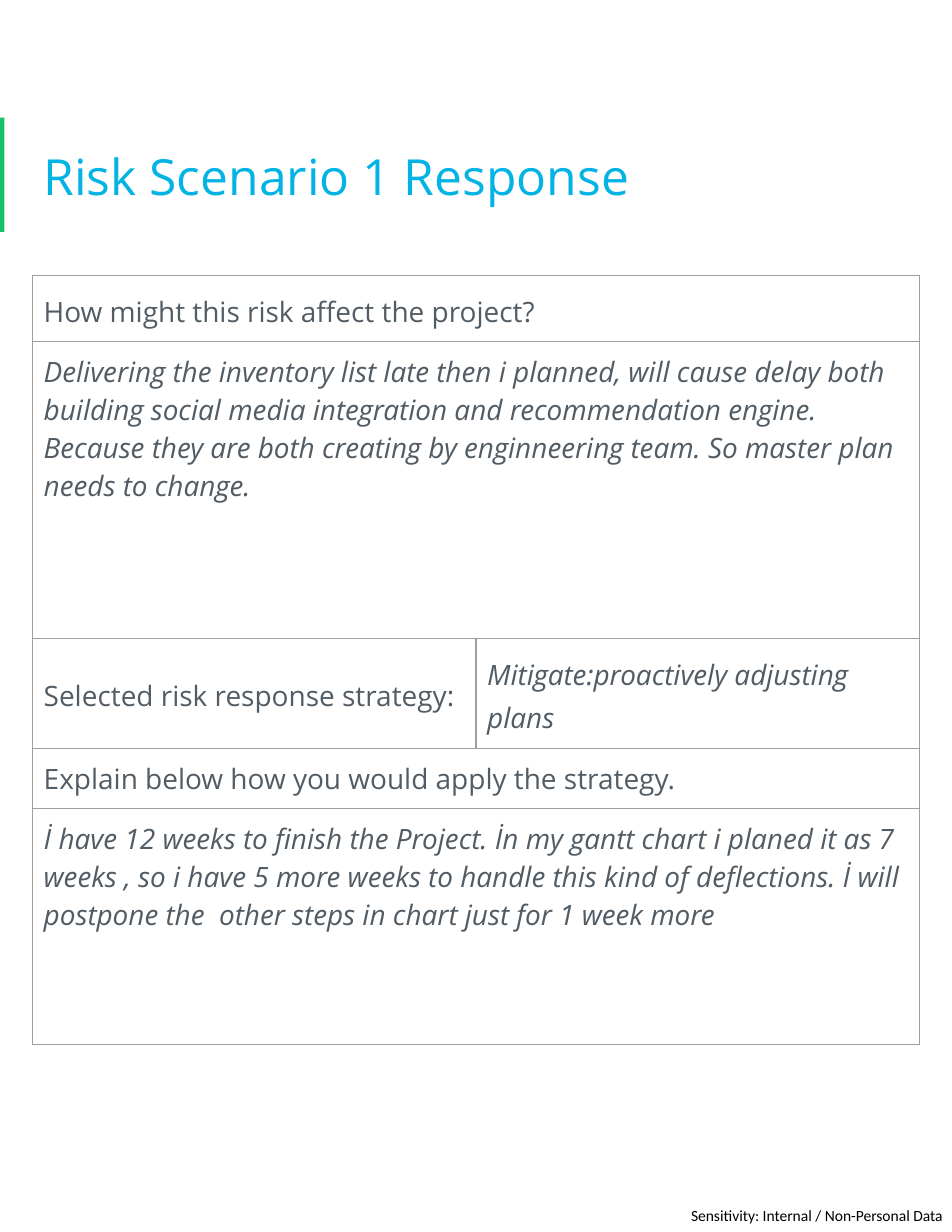
from dataclasses import dataclass

from lxml import etree
from pptx import Presentation
from pptx.dml.color import RGBColor
from pptx.enum.shapes import MSO_SHAPE
from pptx.enum.text import MSO_ANCHOR
from pptx.oxml.ns import qn
from pptx.util import Inches, Pt

RECTANGLE = MSO_SHAPE.RECTANGLE
TOP, MIDDLE = MSO_ANCHOR.TOP, MSO_ANCHOR.MIDDLE


@dataclass(frozen=True)
class Theme:
    accent: str = "15C26B"
    title: str = "02B3E4"
    body: str = "525C65"
    border: str = "9E9E9E"
    black: str = "000000"
    font: str = "Open Sans"
    label_font: str = "Calibri"
    title_size: int = 32
    body_size: int = 18
    label_size: int = 10
    border_width: float = 0.75
    inset: float = 0.1


THEME = Theme()

# Each row: height, then its cells as (text, format); a lone cell spans the row.
SPACED = {"spacing": 1.15}
ANSWER = {"italic": True}
ROWS = [
    (0.59, [("How might this risk affect the project?", SPACED)]),
    (2.65, [("Delivering the inventory list late then i planned, will cause delay both "
             "building social media integration and recommendation engine. Because they "
             "are both creating by enginneering team. So master plan needs to change.",
             ANSWER)]),
    (0.98, [("Selected risk response strategy:", {**SPACED, "anchor": MIDDLE}),
            ("Mitigate:proactively adjusting plans", {**SPACED, **ANSWER})]),
    (0.54, [("Explain below how you would apply the strategy.", {})]),
    (2.11, [("İ have 12 weeks to finish the Project. İn my gantt chart i planed it as 7 "
             "weeks , so i have 5 more weeks to handle this kind of deflections. İ will "
             "postpone the  other steps in chart just for 1 week more", ANSWER)]),
]


def write(holder, paragraph, text, *, size=THEME.body_size, font=THEME.font,
          color=THEME.body, italic=False, spacing=None, anchor=TOP, inset=THEME.inset):
    """Format a paragraph and its holder, which is a text frame or a table cell."""
    holder.vertical_anchor = anchor
    holder.margin_left = holder.margin_right = Inches(inset)
    holder.margin_top = holder.margin_bottom = Inches(inset)
    if spacing:
        paragraph.line_spacing = spacing
    run = paragraph.add_run()
    run.text = text
    run.font.size = Pt(size)
    run.font.name = font
    run.font.italic = italic
    run.font.color.rgb = RGBColor.from_string(color)


def add_accent_bar(slide, box):
    bar = slide.shapes.add_shape(RECTANGLE, *map(Inches, box))
    bar.shadow.inherit = False
    bar.fill.solid()
    bar.fill.fore_color.rgb = RGBColor.from_string(THEME.accent)
    bar.line.fill.background()


def add_text(slide, box, text, **text_format):
    frame = slide.shapes.add_textbox(*map(Inches, box)).text_frame
    frame.word_wrap = True
    write(frame, frame.paragraphs[0], text, **text_format)


def set_borders(cell):
    properties = cell._tc.get_or_add_tcPr()
    for position, side in enumerate(("lnL", "lnR", "lnT", "lnB")):
        line = etree.Element(qn(f"a:{side}"), w=str(Pt(THEME.border_width)))
        fill = etree.SubElement(line, qn("a:solidFill"))
        etree.SubElement(fill, qn("a:srgbClr"), val=THEME.border)
        properties.insert(position, line)


def add_response_table(slide, box):
    table = slide.shapes.add_table(len(ROWS), 2, *map(Inches, box)).table
    table.first_row = table.horz_banding = False
    for row_index, (height, entries) in enumerate(ROWS):
        row = table.rows[row_index]
        row.height = Inches(height)
        if len(entries) == 1:
            table.cell(row_index, 0).merge(table.cell(row_index, 1))
        for cell, (text, text_format) in zip(row.cells, entries):
            write(cell, cell.text_frame.paragraphs[0], text, **text_format)
        for cell in row.cells:
            cell.fill.background()
            set_borders(cell)


def main():
    deck = Presentation()
    deck.slide_width, deck.slide_height = Inches(8.5), Inches(11)
    slide = deck.slides.add_slide(deck.slide_layouts[6])
    add_accent_bar(slide, (0, 1.05, 0.04, 1.02))
    add_text(slide, (6.17, 10.77, 2.29, 0.17), "Sensitivity: Internal / Non-Personal Data",
             size=THEME.label_size, font=THEME.label_font, color=THEME.black, inset=0)
    add_text(slide, (0.29, 0.96, 7.92, 1.22), "Risk Scenario 1 Response",
             size=THEME.title_size, color=THEME.title, anchor=MIDDLE)
    table_height = sum(height for height, _ in ROWS)
    add_response_table(slide, (0.29, 2.46, 7.92, table_height))
    deck.save("out.pptx")


if __name__ == "__main__":
    main()
